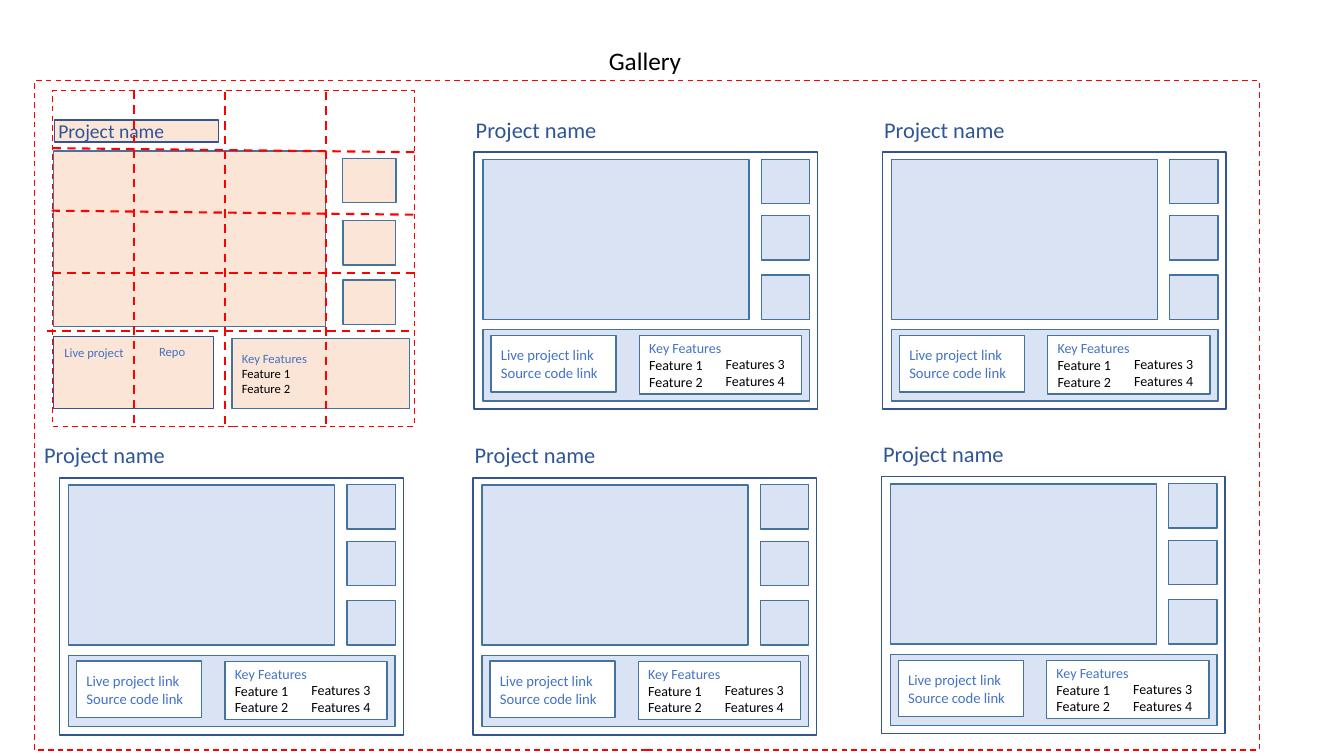
from pptx import Presentation
from pptx.dml.color import RGBColor
from pptx.enum.dml import MSO_LINE
from pptx.enum.shapes import MSO_CONNECTOR, MSO_SHAPE
from pptx.enum.text import MSO_ANCHOR, MSO_AUTO_SIZE, PP_ALIGN
from pptx.oxml.ns import qn
from pptx.util import Inches, Pt
from lxml.etree import SubElement

COLORS = {
    "title": "2F5597", "link": "4472C4", "text": "000000", "frame": "325491",
    "edge": "43739E", "panel": "DAE3F3", "draft": "FBE5D6", "white": "FFFFFF", "grid": "FF0000",
}
FONT = "Calibri"

# Text blocks: lines of (text, size, color)
PROJECT = [("Project name", 16, "title")]
LINKS = [("Live project link", 10.5, "link"), ("Source code link", 10.5, "link")]
FEATURES = [("Key Features", 10, "link"), ("Feature 1", 10, "text"), ("Feature 2", 10, "text")]
MORE_FEATURES = [("Features 3", 10, "text"), ("Features 4", 10, "text")]
DRAFT_FEATURES = [("Key Features", 9, "link"), ("Feature 1", 9, "text"), ("Feature 2", 9, "text")]

# Cards: left, top, shift of the title from the card's left edge
CARDS = [(4.7, 1.51, -0.08), (8.75, 1.51, -0.08),
         (0.59, 4.74, -0.25), (4.69, 4.74, -0.08), (8.74, 4.73, -0.08)]

# Parts of a card, measured from its corner: box, fill, line, text
CARD_PARTS = [
    ((0, 0, 3.41, 2.55), None, "frame", ()),
    ((2.85, 0.07, 0.48, 0.44), "panel", "edge", ()),
    ((2.85, 0.63, 0.48, 0.44), "panel", "edge", ()),
    ((2.85, 1.22, 0.48, 0.44), "panel", "edge", ()),
    ((0.09, 0.07, 2.64, 1.59), "panel", "edge", ()),
    ((0.09, 1.76, 3.24, 0.71), "panel", "edge", ()),
    ((0.17, 1.82, 1.24, 0.56), "white", "edge", LINKS),
    ((1.64, 1.82, 1.61, 0.58), "white", "edge", FEATURES),
]

# The draft card at the upper left
DRAFT_LABEL_BOXES = [(0.53, 3.34, 1.59, 0.71), (0.54, 1.19, 1.63, 0.22)]
DRAFT_PANELS = [(3.4, 1.57, 0.53, 0.44), (3.4, 2.19, 0.52, 0.44),
                (3.4, 2.78, 0.52, 0.44), (0.53, 1.5, 2.7, 1.74)]

# Red layout grid
GRID_FRAMES = [(0.34, 0.8, 12.15, 6.64), (0.52, 0.9, 3.59, 3.33)]
GRID_LINES = [
    (1.33, 0.9, 1.33, 4.23), (2.23, 0.91, 2.23, 4.24), (3.23, 0.91, 3.23, 4.24),
    (4.11, 1.51, 0.51, 1.47), (4.1, 2.13, 0.51, 2.09),
    (4.11, 2.71, 0.51, 2.71), (4.06, 3.28, 0.46, 3.28),
]

deck = Presentation()
deck.slide_width, deck.slide_height = Inches(13.33), Inches(7.5)
page = deck.slides.add_slide(deck.slide_layouts[6])


def rgb(name):
    return RGBColor.from_string(COLORS[name])


def set_line(line, color, width=1, dashed=False):
    line.color.rgb = rgb(color)
    line.width = Pt(width)
    if dashed:
        line.dash_style = MSO_LINE.DASH


def write(box, lines, **frame_format):
    frame = box.text_frame
    for name, value in frame_format.items():
        setattr(frame, name, value)
    for number, (text, size, color) in enumerate(lines):
        para = frame.add_paragraph() if number else frame.paragraphs[0]
        para.alignment = PP_ALIGN.LEFT
        span = para.add_run()
        span.text = text
        for name, value in {"name": FONT, "size": Pt(size)}.items():
            setattr(span.font, name, value)
        span.font.color.rgb = rgb(color)


def add_box(place, fill, line, lines=(), dashed=False):
    box = page.shapes.add_shape(MSO_SHAPE.RECTANGLE, *map(Inches, place))
    box.shadow.inherit = False
    if fill:
        box.fill.solid()
        box.fill.fore_color.rgb = rgb(fill)
    else:
        box.fill.background()
    set_line(box.line, line, dashed=dashed)
    if lines:
        write(box, lines, word_wrap=True, vertical_anchor=MSO_ANCHOR.MIDDLE)


def add_label(place, lines):
    box = page.shapes.add_textbox(*map(Inches, place))
    write(box, lines, word_wrap=False, auto_size=MSO_AUTO_SIZE.SHAPE_TO_FIT_TEXT)


def add_draft_link(place, text):
    box = page.shapes.add_textbox(*map(Inches, place))
    write(box, [(text, 9, "link")], word_wrap=True, vertical_anchor=MSO_ANCHOR.MIDDLE)


# Draft card and slide title
for place in DRAFT_LABEL_BOXES:
    add_box(place, "draft", "frame")
add_label((5.94, 0.4, 0.93, 0.4), [("Gallery", 18, "text")])
add_label((0.48, 1.13, 1.26, 0.34), [("Project name", 14, "title")])
for place in DRAFT_PANELS:
    add_box(place, "draft", "edge")
add_draft_link((1.48, 3.29, 0.84, 0.4), "Repo")
add_box((2.3, 3.36, 1.76, 0.69), "draft", "edge", DRAFT_FEATURES)

# Project cards
for left, top, title_shift in CARDS:
    for (x, y, width, height), fill, line, lines in CARD_PARTS:
        add_box((left + x, top + y, width, height), fill, line, lines)
    add_label((left + title_shift, top - 0.41, 1.41, 0.37), PROJECT)
    add_label((left + 2.4, top + 1.97, 0.8, 0.44), MORE_FEATURES)

# Layout grid
for place in GRID_FRAMES:
    add_box(place, None, "grid", dashed=True)
for ends in GRID_LINES:
    rule = page.shapes.add_connector(MSO_CONNECTOR.STRAIGHT, *map(Inches, ends))
    set_line(rule.line, "grid", 1.5, dashed=True)
    SubElement(rule.element.spPr, qn("a:effectLst"))
add_draft_link((0.54, 3.3, 0.95, 0.4), "Live project")

deck.save("out.pptx")
